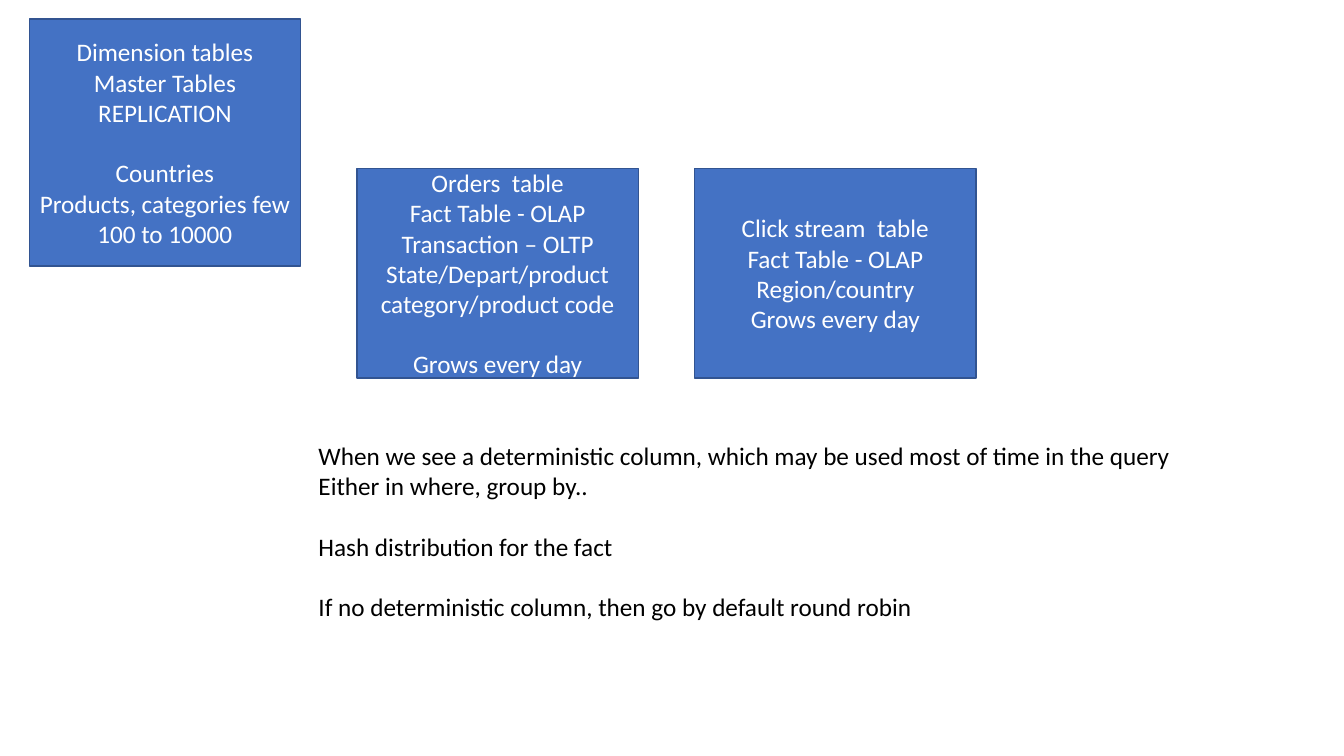
import dataclasses

import pptx
import pptx.dml.color
import pptx.enum.shapes
import pptx.enum.text
import pptx.util

COLORS = {"box": "4472C4", "border": "325491", "light": "FFFFFF", "dark": "000000"}
FONT = {"name": "Calibri", "size": pptx.util.Pt(18)}
BLANK_LINE = pptx.util.Pt(21.6)
SLIDE_WIDTH = pptx.util.Inches(13.33)
SLIDE_HEIGHT = pptx.util.Inches(7.5)


@dataclasses.dataclass(frozen=True)
class Area:
    """Percentages of the slide's width and height."""

    left: float
    top: float
    width: float
    height: float

    def lengths(self) -> tuple[int, int, int, int]:
        return (
            int(SLIDE_WIDTH * self.left / 100),
            int(SLIDE_HEIGHT * self.top / 100),
            int(SLIDE_WIDTH * self.width / 100),
            int(SLIDE_HEIGHT * self.height / 100),
        )


@dataclasses.dataclass(frozen=True)
class TableBox:
    area: Area
    groups: list[list[str]]


def rgb(name: str) -> pptx.dml.color.RGBColor:
    return pptx.dml.color.RGBColor.from_string(COLORS[name])


def write_groups(frame, groups: list[list[str]], color: str, alignment) -> None:
    lines = [
        (text, group > 0 and row == 0)
        for group, texts in enumerate(groups)
        for row, text in enumerate(texts)
    ]
    for index, (text, starts_group) in enumerate(lines):
        para = frame.add_paragraph() if index else frame.paragraphs[0]
        para.alignment = alignment
        if starts_group:
            para.space_before = BLANK_LINE
        span = para.add_run()
        span.text = text
        for attribute, value in FONT.items():
            setattr(span.font, attribute, value)
        span.font.color.rgb = rgb(color)


def draw_table_box(page, table_box: TableBox) -> None:
    box = page.shapes.add_shape(
        pptx.enum.shapes.MSO_SHAPE.RECTANGLE, *table_box.area.lengths()
    )
    box.shadow.inherit = False
    box.fill.solid()
    box.fill.fore_color.rgb = rgb("box")
    box.line.color.rgb = rgb("border")
    box.line.width = pptx.util.Pt(1)
    box.text_frame.word_wrap = True
    box.text_frame.vertical_anchor = pptx.enum.text.MSO_ANCHOR.MIDDLE
    write_groups(
        box.text_frame, table_box.groups, "light", pptx.enum.text.PP_ALIGN.CENTER
    )


def draw_advice(page, area: Area, groups: list[list[str]]) -> None:
    box = page.shapes.add_textbox(*area.lengths())
    box.text_frame.word_wrap = False
    box.text_frame.auto_size = pptx.enum.text.MSO_AUTO_SIZE.SHAPE_TO_FIT_TEXT
    write_groups(box.text_frame, groups, "dark", pptx.enum.text.PP_ALIGN.LEFT)


FACT_LEFT, FACT_STEP = 26.56, 25.13
FACT_GROUPS = [
    [
        [
            "Orders  table",
            "Fact Table - OLAP",
            "Transaction – OLTP",
            "State/Depart/product category/product code",
        ],
        ["Grows every day"],
    ],
    [
        [
            "Click stream  table",
            "Fact Table - OLAP",
            "Region/country",
            "Grows every day",
        ]
    ],
]
FACT_TABLES = [
    TableBox(Area(FACT_LEFT + column * FACT_STEP, 22.27, 20.93, 27.73), groups)
    for column, groups in enumerate(FACT_GROUPS)
]
DIMENSION_TABLES = TableBox(
    Area(2.18, 2.53, 20.18, 32.67),
    [
        ["Dimension tables", "Master Tables", "REPLICATION"],
        ["Countries", "Products, categories few 100 to 10000"],
    ],
)
ADVICE = [
    [
        "When we see a deterministic column, which may be used most of time in the query",
        "Either in where, group by..",
    ],
    ["Hash distribution for the fact"],
    ["If no deterministic column, then go by default round robin"],
]

deck = pptx.Presentation()
deck.slide_width = SLIDE_WIDTH
deck.slide_height = SLIDE_HEIGHT
page = deck.slides.add_slide(deck.slide_layouts.get_by_name("Blank"))
for table_box in [*FACT_TABLES, DIMENSION_TABLES]:
    draw_table_box(page, table_box)
draw_advice(page, Area(22.96, 57.6, 65.72, 25.6), ADVICE)
deck.save("out.pptx")
